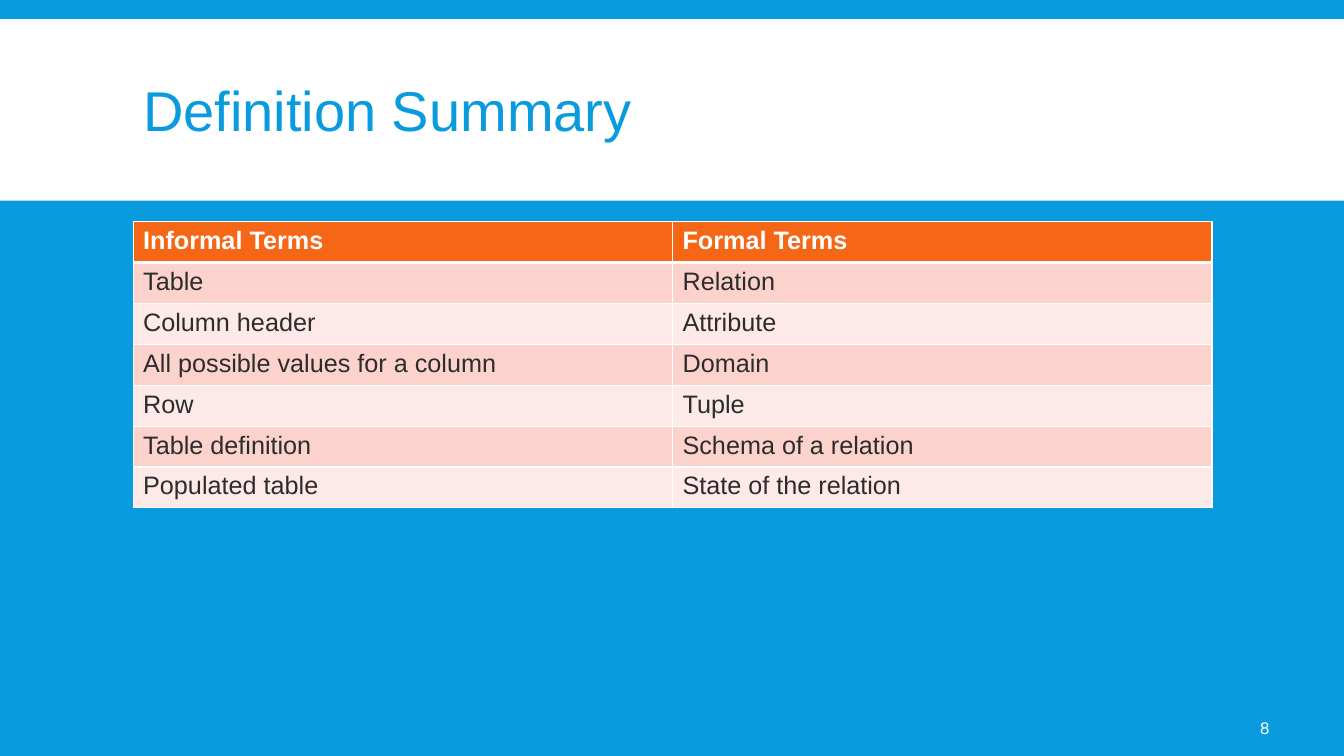
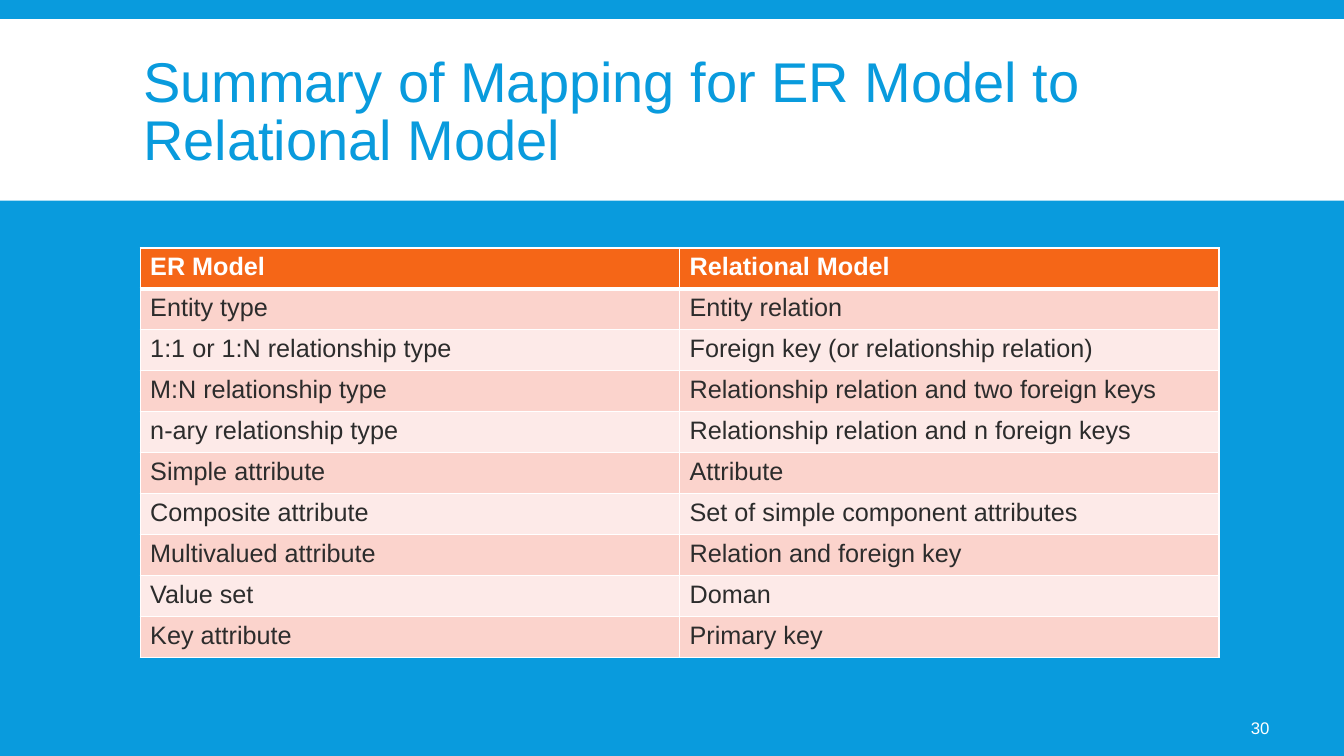
"""Build two summary slides that compare database terms in tables."""
from lxml.etree import SubElement
from pptx import Presentation
from pptx.dml.color import RGBColor
from pptx.enum.shapes import MSO_SHAPE
from pptx.enum.text import MSO_ANCHOR as Anchor, MSO_AUTO_SIZE as AutoSize, PP_ALIGN as Align
from pptx.oxml.ns import qn
from pptx.util import Inches, Pt

FONT = "Arial"
BLUE, WHITE, ORANGE, DARK = "099BDD", "FFFFFF", "F56617", "2C2C2C"
ROW_TINTS = ("FDEAE8", "FBD3CC")
SLIDE_WIDTH, SLIDE_HEIGHT = Inches(13.33), Inches(7.5)
TABLE_WIDTH = Inches(10.7)

SUMMARIES = [
    {
        "title": "Definition Summary",
        "page": "8",
        "left": 1.32, "top": 2.2, "height": 2.84,
        "rows": [
            ("Informal Terms", "Formal Terms"),
            ("Table", "Relation"),
            ("Column header", "Attribute"),
            ("All possible values for a column", "Domain"),
            ("Row", "Tuple"),
            ("Table definition", "Schema of a relation"),
            ("Populated table", "State of the relation"),
        ],
    },
    {
        "title": "Summary of Mapping for ER Model to Relational Model",
        "page": "30",
        "left": 1.39, "top": 2.46, "height": 4.06,
        "rows": [
            ("ER Model", "Relational Model"),
            ("Entity type", "Entity relation"),
            ("1:1 or 1:N relationship type", "Foreign key (or relationship relation)"),
            ("M:N relationship type", "Relationship relation and two foreign keys"),
            ("n-ary relationship type", "Relationship relation and n foreign keys"),
            ("Simple attribute", "Attribute"),
            ("Composite attribute", "Set of simple component attributes"),
            ("Multivalued attribute", "Relation and foreign key"),
            ("Value set", "Doman"),
            ("Key attribute", "Primary key"),
        ],
    },
]


def paint(fill, color):
    """Make a fill solid in the given hex colour."""
    fill.solid()
    fill.fore_color.rgb = RGBColor.from_string(color)


def write(frame, text, size, color, bold=False, align=Align.LEFT):
    """Add one formatted run to the first paragraph and return the paragraph."""
    paragraph = frame.paragraphs[0]
    paragraph.alignment = align
    run = paragraph.add_run()
    run.text = text
    run.font.name, run.font.size, run.font.bold = FONT, Pt(size), bold
    run.font.color.rgb = RGBColor.from_string(color)
    return paragraph


def add_band(slide, layout):
    """Draw the white title band and move it to the back of the layout."""
    band = slide.shapes.add_shape(MSO_SHAPE.RECTANGLE, 0, Inches(0.19), SLIDE_WIDTH, Inches(1.8))
    band.shadow.inherit = False
    paint(band.fill, WHITE)
    band.line.fill.background()
    layout.shapes.element.insert(2, band.element)


def place_title(layout):
    """Set the title position that all slides inherit."""
    title = layout.placeholders[0]
    title.left, title.top = Inches(1.32), Inches(0.31)
    title.width, title.height = Inches(10.7), Inches(1.65)


def add_title(slide, text):
    """Fill the title placeholder."""
    frame = slide.shapes.title.text_frame
    frame.auto_size = AutoSize.NONE
    frame.vertical_anchor = Anchor.MIDDLE
    write(frame, text, 40, BLUE).line_spacing = 0.85


def add_borders(cell, row_index):
    """Give a cell white borders, with a thick rule under the header."""
    properties = cell._tc.get_or_add_tcPr()
    widths = {"L": 1, "R": 1, "T": 3 if row_index == 1 else 1, "B": 3 if row_index == 0 else 1}
    for side, width in widths.items():
        border = SubElement(properties, qn(f"a:ln{side}"), w=str(Pt(width)))
        SubElement(SubElement(border, qn("a:solidFill")), qn("a:srgbClr"), val=WHITE)


def add_terms(slide, summary):
    """Add the two-column table of terms."""
    rows = summary["rows"]
    table = slide.shapes.add_table(
        len(rows), len(rows[0]), Inches(summary["left"]), Inches(summary["top"]),
        TABLE_WIDTH, Inches(summary["height"])).table
    for row_index, terms in enumerate(rows):
        header = row_index == 0
        for column_index, term in enumerate(terms):
            cell = table.cell(row_index, column_index)
            add_borders(cell, row_index)
            paint(cell.fill, ORANGE if header else ROW_TINTS[row_index % 2])
            write(cell.text_frame, term, 18, WHITE if header else DARK, bold=header)


def add_page_number(slide, number):
    """Add the page number at the bottom right."""
    frame = slide.shapes.add_textbox(Inches(11.66), Inches(7.02), Inches(1.03), Inches(0.4)).text_frame
    frame.word_wrap = True
    frame.vertical_anchor = Anchor.MIDDLE
    frame.margin_left = frame.margin_top = frame.margin_bottom = Inches(0.05)
    frame.margin_right = Inches(0.1)
    write(frame, number, 12, WHITE, align=Align.RIGHT)


def main():
    """Build and save the presentation."""
    deck = Presentation()
    deck.slide_width, deck.slide_height = SLIDE_WIDTH, SLIDE_HEIGHT
    paint(deck.slide_master.background.fill, BLUE)
    layout = deck.slide_layouts.get_by_name("Title Only")
    place_title(layout)
    for index, summary in enumerate(SUMMARIES):
        slide = deck.slides.add_slide(layout)
        if index == 0:
            add_band(slide, layout)
        add_title(slide, summary["title"])
        add_terms(slide, summary)
        add_page_number(slide, summary["page"])
    deck.save("out.pptx")


if __name__ == "__main__":
    main()
